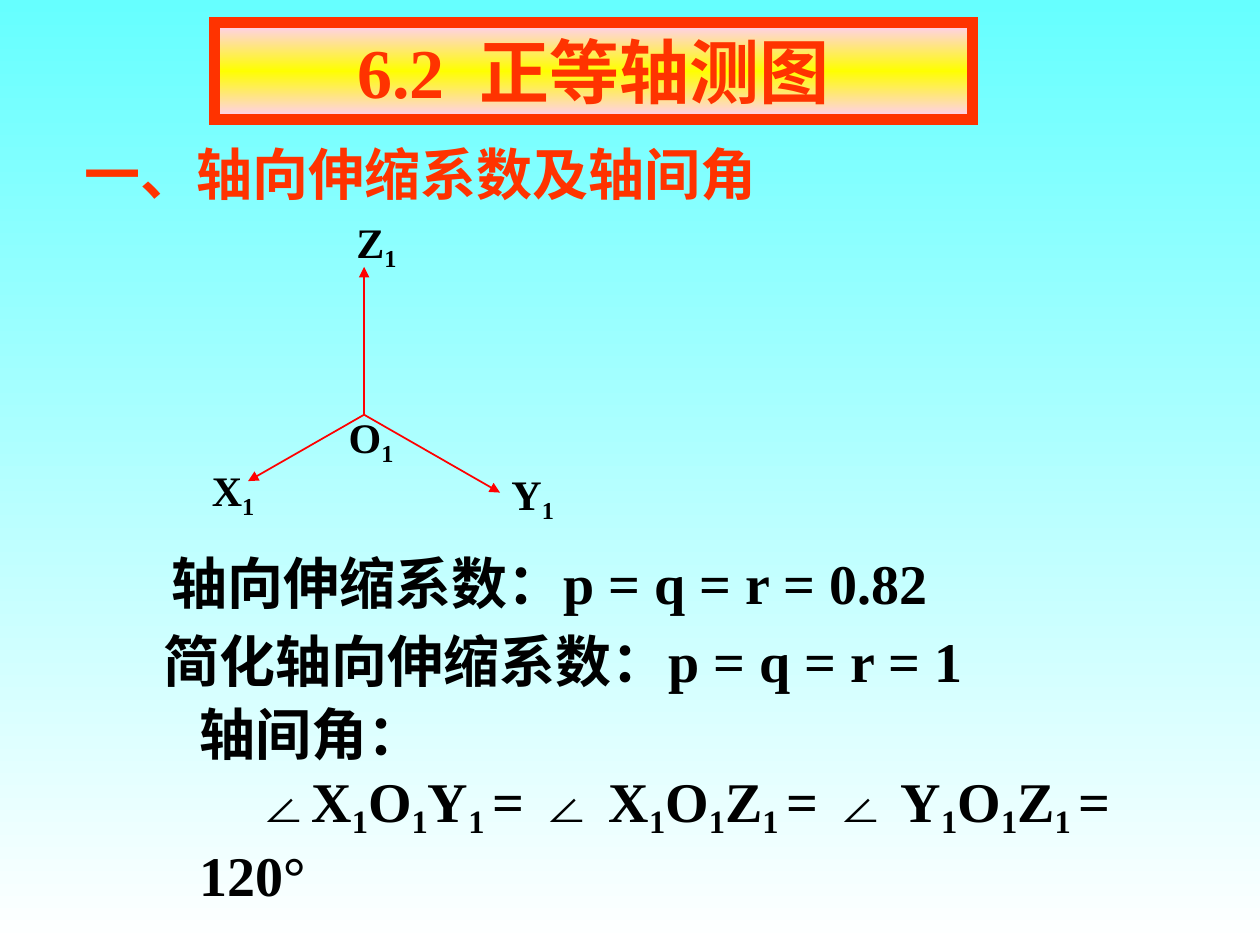
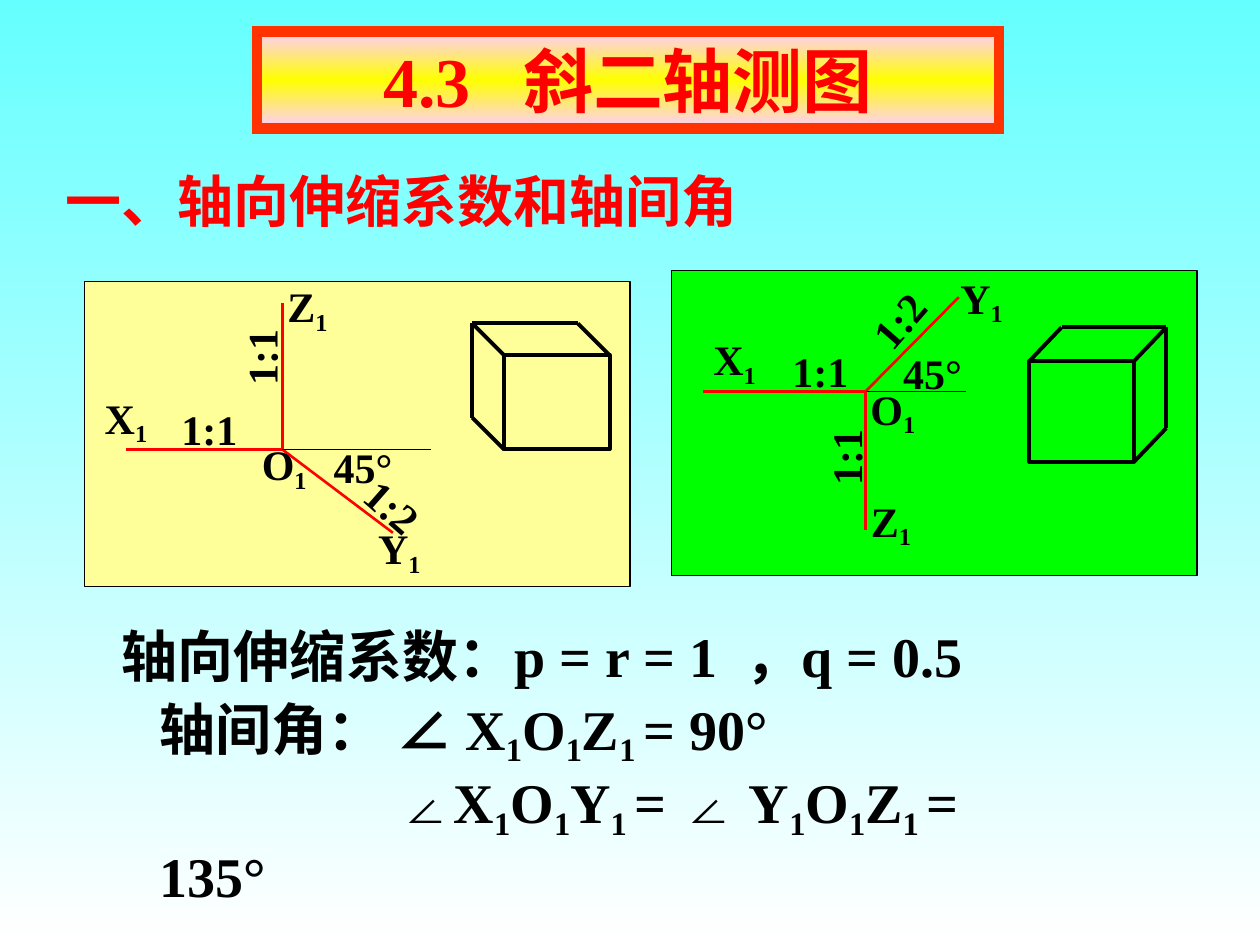
"""Build two slides on isometric and cabinet axonometric projection."""
from copy import deepcopy
from itertools import groupby

from lxml.etree import SubElement
from pptx import Presentation
from pptx.dml.color import RGBColor
from pptx.enum.shapes import MSO_CONNECTOR as CONNECTOR, MSO_SHAPE as SHAPE
from pptx.enum.text import MSO_ANCHOR as ANCHOR, MSO_AUTO_SIZE as AUTO_SIZE, PP_ALIGN as ALIGN
from pptx.oxml.ns import qn
from pptx.util import Cm, Pt

AQUA = RGBColor(0x66, 0xFF, 0xFF)
WHITE = RGBColor(0xFF, 0xFF, 0xFF)
PINK = RGBColor(0xFF, 0xCC, 0xFF)
YELLOW = RGBColor(0xFF, 0xFF, 0x00)
ORANGE = RGBColor(0xFF, 0x33, 0x00)
RED = RGBColor(0xFF, 0x00, 0x00)
BLACK = RGBColor(0x00, 0x00, 0x00)
CREAM = RGBColor(0xFF, 0xFF, 0x99)
GREEN = RGBColor(0x00, 0xFF, 0x00)
LATIN, CHINESE, SYMBOL = "Times New Roman", "Noto Sans CJK SC", "Arial"


def write(para, text, size, color, gap=0):
    """Add runs split by script; ₁ is a subscript 1 and ␣ a space widened by gap points."""
    kinds = []
    for char in text:
        if char == " " and kinds and kinds[-1] != SYMBOL:
            kinds.append(kinds[-1])
        elif char in "₁␣":
            kinds.append(char)
        elif char == "∠":
            kinds.append(SYMBOL)
        else:
            kinds.append(CHINESE if ord(char) > 0x2E80 else LATIN)
    for kind, pairs in groupby(zip(kinds, text), key=lambda pair: pair[0]):
        span = para.add_run()
        span.text = "".join(char for _, char in pairs).replace("₁", "1").replace("␣", " ")
        span.font.name = LATIN if kind in "₁␣" else kind
        span.font.size = Pt(size)
        span.font.bold = True
        span.font.color.rgb = color
        props = span.font._element
        props.find(qn("a:latin")).addnext(props.makeelement(qn("a:ea"), typeface=CHINESE))
        if kind == "₁":
            props.set("baseline", "-20000")
        elif kind == "␣":
            props.set("spc", str(gap * 100))


def draw_line(shapes, start, end, color, width, arrow=False):
    """Draw a straight line between two points given in centimetres."""
    line = shapes.add_connector(CONNECTOR.STRAIGHT, *map(Cm, (*start, *end)))
    line.line.color.rgb = color
    line.line.width = Pt(width)
    props = line._element.spPr
    if arrow:
        SubElement(props.find(qn("a:ln")), qn("a:tailEnd"), type="triangle")
    SubElement(props, qn("a:effectLst"))


deck = Presentation()
deck.slide_width, deck.slide_height = Cm(25.4), Cm(19.05)
backdrop = deck.slide_master.background.fill
backdrop.gradient()
backdrop.gradient_angle = 270
for stop, color in zip(backdrop.gradient_stops, (AQUA, WHITE)):
    stop.color.rgb = color

SLIDES = [
    {
        "title": ("6.2␣正等轴测图", (4.32, 0.45, 15.29, 1.96), 10),
        "accent": ORANGE,
        "heading": ("一、轴向伸缩系数及轴间角", (1.45, 2.69, 14.07, 1.63)),
        "body": [
            (["轴向伸缩系数：p = q = r = 0.82"], (3.2, 10.93, 16.33, 1.63), 0),
            (["简化轴向伸缩系数：p = q = r = 1"], (3.05, 12.5, 16.89, 1.63), 0),
            (["轴间角：", "∠X₁O₁Y₁ = ∠ X₁O₁Z₁ = ∠ Y₁O₁Z₁ = 120°"],
             (3.77, 13.97, 20.57, 3.1), 32),
        ],
        "diagrams": [
            {
                "origin": (7.34, 8.36),
                "axes": [(7.34, 5.38), (5, 9.7), (10.08, 9.93)],
                "labels": [("Z₁", 7.59, 4.93, 0), ("X₁", 4.7, 9.93, 0),
                           ("Y₁", 10.74, 10.01, 0), ("O₁", 7.48, 8.86, 0)],
            },
        ],
    },
    {
        "title": ("4.3␣斜二轴测图", (5.18, 0.63, 14.96, 1.96), 20),
        "accent": RED,
        "heading": ("一、轴向伸缩系数和轴间角", (1.07, 3.23, 14.07, 1.63)),
        "body": [
            (["轴向伸缩系数：p = r = 1␣，q = 0.5"], (2.21, 12.4, 18.3, 1.63), 0),
            (["轴间角： ∠ X₁O₁Z₁ = 90°", "∠X₁O₁Y₁ = ∠ Y₁O₁Z₁ = 135°"],
             (2.97, 13.87, 18.57, 3.23), 136),
        ],
        "diagrams": [
            {
                "panel": ((1.7, 5.67, 11, 6.15), CREAM),
                "origin": (5.69, 9.06),
                "axes": [(5.69, 6.1), (2.54, 9.06), (7.92, 10.74)],
                "base": (8.69, 9.06),
                "front": (10.16, 7.16, 2.13, 1.9),
                "depth": (-0.64, -0.64),
                "labels": [("45°", 7.32, 9.4, 0), ("X₁", 2.54, 8.46, 0), ("1:1", 4.22, 8.64, 0),
                           ("O₁", 5.73, 9.4, 0), ("1:2", 7.92, 10.21, 41.4),
                           ("Y₁", 8.05, 11.1, 0), ("Z₁", 6.2, 6.22, 0), ("1:1", 5.26, 7.21, 270)],
            },
            {
                "panel": ((13.54, 5.46, 10.59, 6.15), GREEN),
                "origin": (17.45, 7.89),
                "axes": [(17.45, 10.69), (14.17, 7.89), (19.33, 5.99)],
                "base": (19.48, 7.89),
                "front": (20.75, 7.28, 2.11, 2.03),
                "depth": (0.65, -0.68),
                "labels": [("45°", 18.8, 7.52, 0), ("X₁", 14.81, 7.29, 0), ("Y₁", 19.79, 6.05, 0),
                           ("Z₁", 17.96, 10.54, 0), ("1:1", 16.54, 7.47, 0),
                           ("1:1", 17.04, 9.22, 270), ("1:2", 18.11, 6.45, 311),
                           ("O₁", 18, 8.28, 0)],
            },
        ],
    },
]

for content in SLIDES:
    page = deck.slides.add_slide(deck.slide_layouts[5])

    text, place, gap = content["title"]
    title = page.shapes.title
    title.left, title.top, title.width, title.height = map(Cm, place)
    title.fill.gradient()
    title.fill.gradient_angle = 270
    stops = title._element.xpath(".//a:gsLst")[0]
    stops.append(deepcopy(stops[0]))
    for index, (stop, color) in enumerate(zip(title.fill.gradient_stops, (PINK, YELLOW, PINK))):
        stop.position = index / 2
        stop.color.rgb = color
    title.line.color.rgb = ORANGE
    title.line.width = Pt(6)
    SubElement(title._element.spPr.find(qn("a:ln")), qn("a:miter"), lim="800000")
    frame = title.text_frame
    frame.auto_size = AUTO_SIZE.NONE
    frame.vertical_anchor = ANCHOR.TOP
    frame.paragraphs[0].alignment = ALIGN.CENTER
    write(frame.paragraphs[0], text, 40, content["accent"], gap)

    heading, place = content["heading"]
    box = page.shapes.add_textbox(*map(Cm, place))
    write(box.text_frame.paragraphs[0], heading, 32, content["accent"])

    for lines, place, indent in content["body"]:
        frame = page.shapes.add_textbox(*map(Cm, place)).text_frame
        frame.word_wrap = len(lines) > 1
        for index, text in enumerate(lines):
            para = frame.add_paragraph() if index else frame.paragraphs[0]
            if index:
                para._p.get_or_add_pPr().set("indent", str(Pt(indent)))
            write(para, text, 32, BLACK, gap=8)

    for diagram in content["diagrams"]:
        shapes = page.shapes.add_group_shape().shapes
        has_panel = "panel" in diagram
        if has_panel:
            place, color = diagram["panel"]
            panel = shapes.add_shape(SHAPE.RECTANGLE, *map(Cm, place))
            panel.shadow.inherit = False
            panel.fill.solid()
            panel.fill.fore_color.rgb = color
            panel.line.color.rgb = BLACK
            panel.line.width = Pt(0.75)
        for end in diagram["axes"]:
            draw_line(shapes, diagram["origin"], end, RED, 1.5 if has_panel else 1, not has_panel)
        if has_panel:
            draw_line(shapes, diagram["origin"], diagram["base"], BLACK, 0.75)
            left, top, width, height = diagram["front"]
            front = shapes.add_shape(SHAPE.RECTANGLE, *map(Cm, diagram["front"]))
            front.shadow.inherit = False
            front.fill.background()
            front.line.color.rgb = BLACK
            front.line.width = Pt(2.25)
            dx, dy = diagram["depth"]
            near, far = (left, left + width) if dx < 0 else (left + width, left)
            corners = [(far, top), (near, top), (near, top + height)]
            back = [(x + dx, y + dy) for x, y in corners]
            for start, end in [*zip(corners, back), *zip(back, back[1:])]:
                draw_line(shapes, start, end, BLACK, 2.25)
        for text, x, y, turn in diagram["labels"]:
            width, height = (1.4, 1.42) if "₁" in text else (1.65, 1.27)
            label = shapes.add_textbox(Cm(x - width / 2), Cm(y - height / 2), Cm(width), Cm(height))
            label.rotation = turn
            frame = label.text_frame
            frame.word_wrap = False
            frame.margin_left = frame.margin_right = 0
            frame.vertical_anchor = ANCHOR.MIDDLE
            frame.paragraphs[0].alignment = ALIGN.CENTER
            write(frame.paragraphs[0], text, 24, BLACK)

deck.save("out.pptx")
